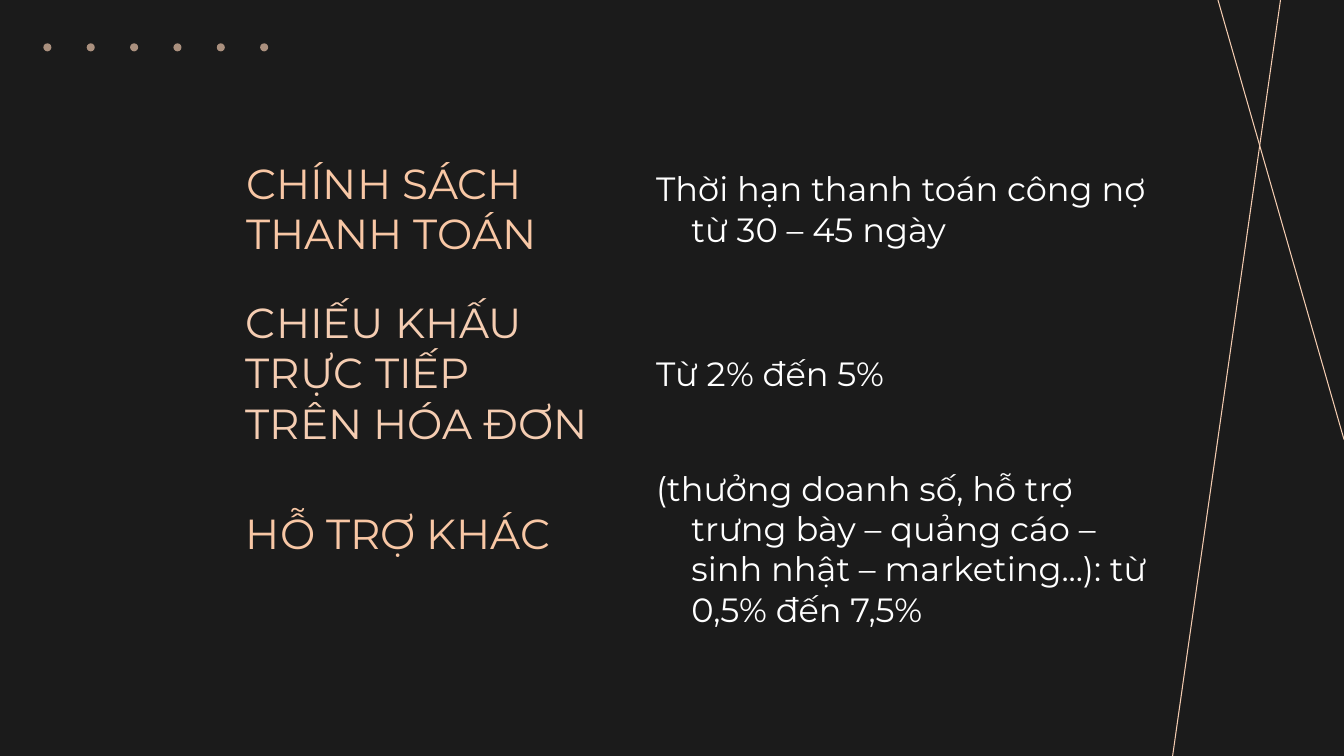
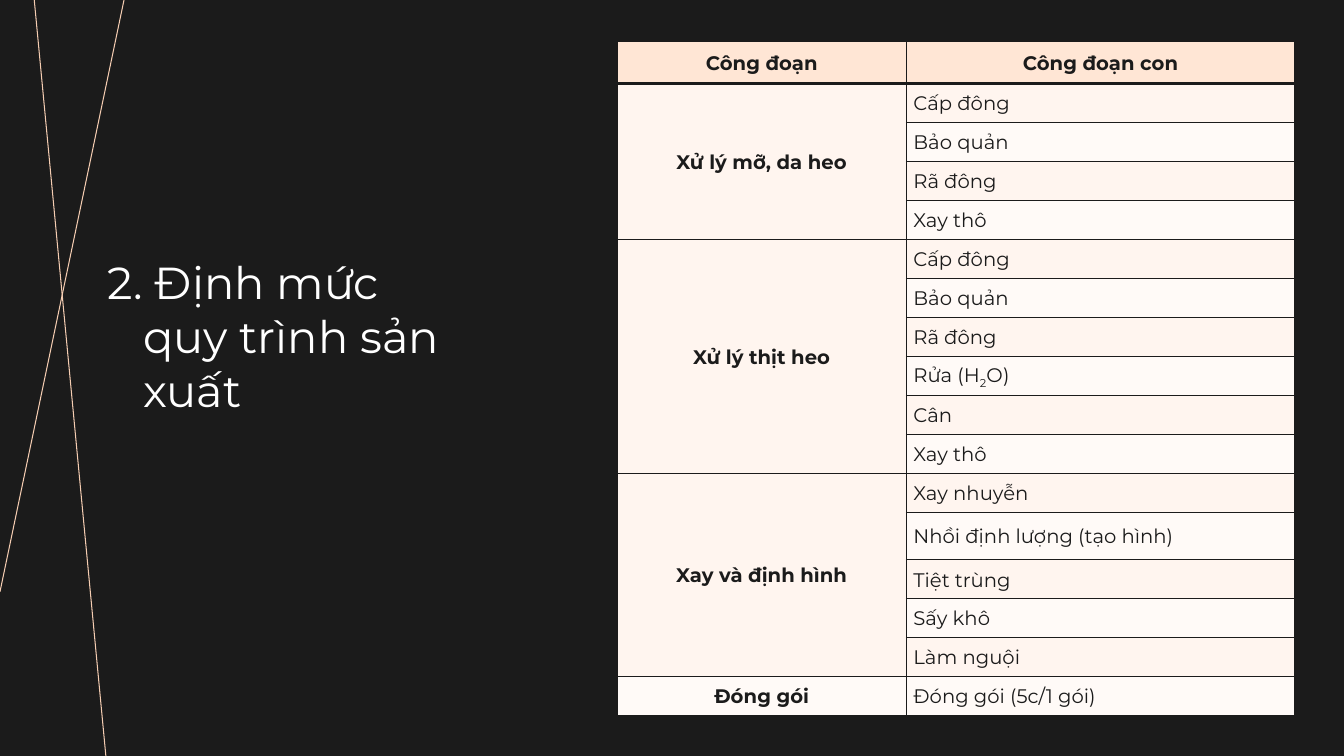
from dataclasses import dataclass
from typing import Any, NamedTuple

from lxml import etree
from pptx import Presentation
from pptx import util as u
from pptx.dml.color import RGBColor
from pptx.enum import shapes, text
from pptx.oxml.ns import qn


@dataclass(frozen=True)
class Theme:
    font: str = "Montserrat"
    dark: str = "1B1B1B"
    white: str = "FFFFFF"
    peach: str = "F8C7A5"
    sand: str = "F5CDB2"
    header_fill: str = "FFE6D5"
    bands: tuple[str, str] = ("FFFAF7", "FFF5EF")
    title_size: int = 32
    heading_size: int = 30
    body_size: int = 24
    table_size: int = 14


class Box(NamedTuple):
    left: float
    top: float
    width: float
    height: float


class Ray(NamedTuple):
    x1: float
    y1: float
    x2: float
    y2: float


class TextStyle(NamedTuple):
    size: int
    color: str
    anchor: Any = text.MSO_ANCHOR.TOP
    hanging: bool = False
    bold: bool = False
    align: Any = text.PP_ALIGN.LEFT
    spacing: float = 1.0


class Policy(NamedTuple):
    heading: str
    heading_box: Box
    color: str
    terms: str
    terms_box: Box


class Stage(NamedTuple):
    name: str
    steps: tuple[str, ...]


THEME = Theme()
HEADING = TextStyle(THEME.heading_size, THEME.peach, text.MSO_ANCHOR.BOTTOM)
TERMS = TextStyle(THEME.body_size, THEME.white, hanging=True)
TITLE = TextStyle(THEME.title_size, THEME.white, hanging=True)
STEP = TextStyle(THEME.table_size, THEME.dark, text.MSO_ANCHOR.MIDDLE, spacing=1.07)
STAGE = STEP._replace(bold=True, align=text.PP_ALIGN.CENTER)

POLICIES = (
    Policy("CHÍNH SÁCH THANH TOÁN", Box(2.34, 1.82, 4.26, 0.84), THEME.peach,
           "Thời hạn thanh toán công nợ từ 30 – 45 ngày", Box(6.26, 1.57, 5.27, 1.09)),
    Policy("CHIẾU KHẤU TRỰC TIẾP TRÊN HÓA ĐƠN", Box(2.34, 3.7, 3.68, 0.84), THEME.sand,
           "Từ 2% đến 5%", Box(6.26, 3.4, 2.88, 0.73)),
    Policy("HỖ TRỢ KHÁC", Box(2.34, 4.79, 3.68, 0.84), THEME.peach,
           "(thưởng doanh số, hỗ trợ trưng bày – quảng cáo – sinh nhật – "
           "marketing...): từ 0,5% đến 7,5%", Box(6.26, 4.54, 5.27, 1.85)),
)
POLICY_RAYS = (Ray(11.63, 7.5, 12.7, 0), Ray(13.33, 4.36, 12.08, 0))

TABLE_HEADER = ("Công đoạn", "Công đoạn con")
# Text between underscores is set as subscript.
STAGES = (
    Stage("Xử lý mỡ, da heo", ("Cấp đông", "Bảo quản", "Rã đông", "Xay thô")),
    Stage("Xử lý thịt heo",
          ("Cấp đông", "Bảo quản", "Rã đông", "Rửa (H_2_O)", "Cân", "Xay thô")),
    Stage("Xay và định hình",
          ("Xay nhuyễn", "Nhồi định lượng (tạo hình)", "Tiệt trùng", "Sấy khô", "Làm nguội")),
    Stage("Đóng gói", ("Đóng gói (5c/1 gói)",)),
)
PROCESS_RAYS = (Ray(0, 5.87, 1.23, 0), Ray(1.05, 7.5, 0.34, 0))
TABLE_BOX = Box(6.12, 0.41, 6.72, 6.69)
COLUMN_WIDTHS = (2.87, 3.85)
HEADER_HEIGHT = 0.42
TALL_ROW, TALL_HEIGHT = 12, 0.47


def rgb(color: str) -> RGBColor:
    return RGBColor.from_string(color)


def inches(values: tuple[float, ...]) -> list[u.Length]:
    return [u.Inches(value) for value in values]


def apply(target: Any, **values: Any) -> None:
    """Set every given attribute on the target."""
    for name, value in values.items():
        setattr(target, name, value)


def fill_solid(target: Any, color: str) -> None:
    target.fill.solid()
    target.fill.fore_color.rgb = rgb(color)


def write(frame: Any, content: str, style: TextStyle) -> None:
    """Fill a text frame with one paragraph, odd '_' parts as subscript."""
    paragraph = frame.paragraphs[0]
    apply(paragraph, alignment=style.align, line_spacing=style.spacing)
    if style.hanging:
        properties = paragraph._p.get_or_add_pPr()
        properties.set("marL", str(u.Inches(0.5)))
        properties.set("indent", str(u.Inches(-0.35)))
    for index, part in enumerate(content.split("_")):
        run = paragraph.add_run()
        run.text = part
        apply(run.font, name=THEME.font, size=u.Pt(style.size), bold=style.bold)
        run.font.color.rgb = rgb(style.color)
        if index % 2:
            run._r.get_or_add_rPr().set("baseline", "-25000")


def format_text(holder: Any, content: str, style: TextStyle) -> None:
    margin = u.Inches(0.1)
    apply(holder.text_frame, word_wrap=True, auto_size=text.MSO_AUTO_SIZE.NONE,
          vertical_anchor=style.anchor, margin_left=margin, margin_right=margin,
          margin_top=margin, margin_bottom=margin)
    write(holder.text_frame, content, style)


def add_text(slide: Any, content: str, box: Box, style: TextStyle) -> None:
    format_text(slide.shapes.add_textbox(*inches(box)), content, style)


def set_title(slide: Any, content: str, box: Box, style: TextStyle) -> None:
    title = slide.shapes.title
    apply(title, **dict(zip(Box._fields, inches(box))))
    format_text(title, content, style)


def add_rays(slide: Any, rays: tuple[Ray, ...]) -> None:
    for ray in rays:
        line = slide.shapes.add_connector(shapes.MSO_CONNECTOR.STRAIGHT, *inches(ray))
        line.line.width = u.Pt(0.75)
        line.line.color.rgb = rgb(THEME.sand)
        etree.SubElement(line._element.spPr, qn("a:effectLst"))


def add_dots(slide: Any, count: int = 6) -> None:
    size, pitch = 0.08, 0.43
    for index in range(count):
        dot = slide.shapes.add_shape(
            shapes.MSO_SHAPE.OVAL, *inches((0.43 + index * pitch, 0.43, size, size)))
        dot.shadow.inherit = False
        dot.line.fill.background()
        fill_solid(dot, THEME.sand)
        color = dot._element.spPr.find(".//" + qn("a:srgbClr"))
        etree.SubElement(color, qn("a:alpha"), val="66000")


def set_borders(cell: Any, bottom: float, width: float = 1) -> None:
    """Draw the four cell borders; they must precede the fill in the XML."""
    properties = cell._tc.get_or_add_tcPr()
    sides = {"lnL": width, "lnR": width, "lnT": width, "lnB": bottom}
    for index, (side, points) in enumerate(sides.items()):
        border = etree.Element(qn(f"a:{side}"), w=str(u.Pt(points)))
        solid = etree.SubElement(border, qn("a:solidFill"))
        etree.SubElement(solid, qn("a:srgbClr"), val=THEME.dark)
        properties.insert(index, border)


def add_stage_table(slide: Any) -> None:
    row_count = 1 + sum(len(stage.steps) for stage in STAGES)
    table = slide.shapes.add_table(row_count, len(TABLE_HEADER), *inches(TABLE_BOX)).table
    apply(table, first_row=False, horz_banding=False)
    for column, width in zip(table.columns, COLUMN_WIDTHS):
        column.width = u.Inches(width)

    step_height = (TABLE_BOX.height - HEADER_HEIGHT - TALL_HEIGHT) / (row_count - 2)
    heights = {0: HEADER_HEIGHT, TALL_ROW: TALL_HEIGHT}
    for index, row in enumerate(table.rows):
        row.height = u.Inches(heights.get(index, step_height))
        for cell in row.cells:
            apply(cell, margin_left=u.Inches(0.07), margin_right=u.Inches(0.07),
                  margin_top=0, margin_bottom=0, vertical_anchor=STEP.anchor)
            fill_solid(cell, THEME.bands[index % 2] if index else THEME.header_fill)
            set_borders(cell, bottom=1 if index else 3)

    for column, label in enumerate(TABLE_HEADER):
        write(table.cell(0, column).text_frame, label, STAGE)
    first = 1
    for stage in STAGES:
        last = first + len(stage.steps) - 1
        if last > first:
            table.cell(first, 0).merge(table.cell(last, 0))
        write(table.cell(first, 0).text_frame, stage.name, STAGE)
        for row_index, step in enumerate(stage.steps, first):
            write(table.cell(row_index, 1).text_frame, step, STEP)
        first = last + 1


def build_policy_slide(slide: Any) -> None:
    for index, policy in enumerate(POLICIES):
        place_heading = add_text if index else set_title
        place_heading(slide, policy.heading, policy.heading_box,
                      HEADING._replace(color=policy.color))
        add_text(slide, policy.terms, policy.terms_box, TERMS)
    add_rays(slide, POLICY_RAYS)
    add_dots(slide)


def build_process_slide(slide: Any) -> None:
    set_title(slide, "2. Định mức quy trình sản xuất", Box(0.82, 2.43, 3.85, 0.95), TITLE)
    add_stage_table(slide)
    add_rays(slide, PROCESS_RAYS)


def main() -> None:
    deck = Presentation()
    apply(deck, slide_width=u.Inches(13.33), slide_height=u.Inches(7.5))
    fill_solid(deck.slide_master.background, THEME.dark)
    title_only = deck.slide_layouts.get_by_name("Title Only")
    for build in (build_policy_slide, build_process_slide):
        build(deck.slides.add_slide(title_only))
    deck.save("out.pptx")


if __name__ == "__main__":
    main()
